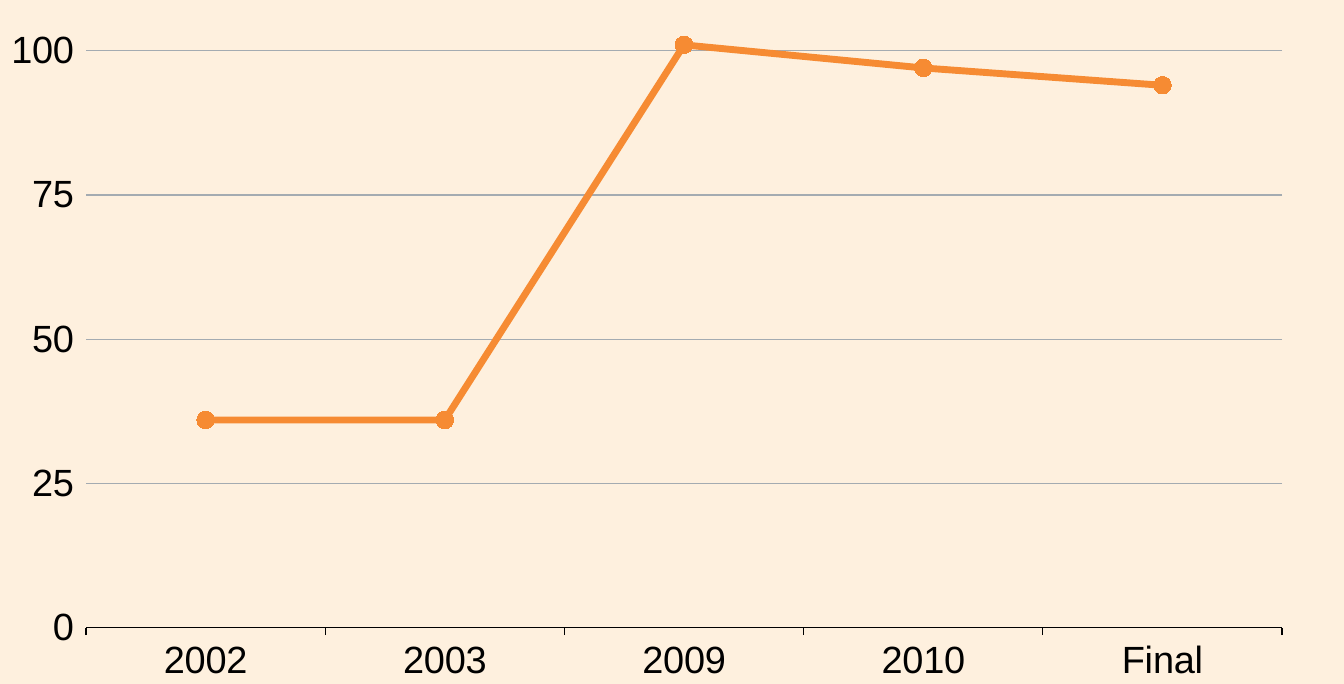
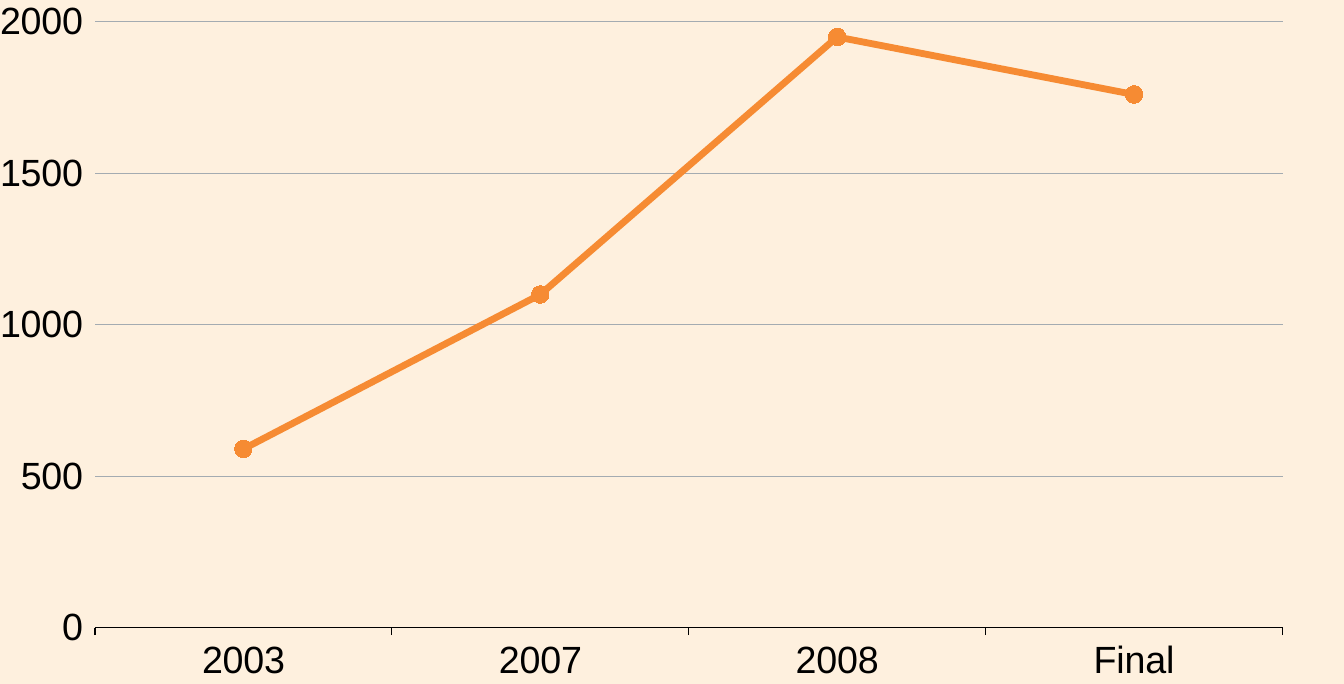
from pptx import Presentation
from pptx.chart.data import CategoryChartData
from pptx.dml.color import RGBColor
from pptx.enum.chart import XL_CHART_TYPE, XL_MARKER_STYLE, XL_TICK_MARK
from pptx.oxml import parse_xml
from pptx.oxml.ns import nsdecls
from pptx.util import Cm, Pt

LINE_MARKERS = XL_CHART_TYPE.LINE_MARKERS
CIRCLE = XL_MARKER_STYLE.CIRCLE
TICK_OUT = XL_TICK_MARK.OUTSIDE
TICK_NONE = XL_TICK_MARK.NONE

SLIDE_WIDTH, SLIDE_HEIGHT = Cm(27.51), Cm(14)
BLANK_LAYOUT = 6
FONT = "Arial"
CREAM, ORANGE, GREY, BLACK = "FEF0DE", "F68B33", "A4ABB1", "000000"
PLOT_AREA = {"x": 0.064, "y": 0.032, "w": 0.89, "h": 0.886}

TRENDS = [
    {
        "values": {"2002": 36, "2003": 36, "2009": 101, "2010": 97, "Final": 94},
        "scale": {"minimum_scale": 0, "maximum_scale": 105, "major_unit": 25},
        "number_format": "#,##0",
    },
    {
        "values": {"2003": 590, "2007": 1100, "2008": 1950, "Final": 1760},
        "scale": {"maximum_scale": 2000, "major_unit": 500},
        "number_format": "General",
    },
]


def rgb(hex_colour):
    """Return the colour for a hex string."""
    return RGBColor.from_string(hex_colour)


def set_attributes(target, values):
    """Set each named attribute of the target."""
    for name, value in values.items():
        setattr(target, name, value)


def fill_solid(fill, hex_colour):
    """Give a fill one plain colour."""
    fill.solid()
    fill.fore_color.rgb = rgb(hex_colour)


def style_line(line, hex_colour, points):
    """Set the colour and width of a line."""
    fill_solid(line.fill, hex_colour)
    line.width = Pt(points)


def style_font(font, points):
    """Set the shared chart font at the given size."""
    set_attributes(font, {"name": FONT, "size": Pt(points), "bold": False})
    font.color.rgb = rgb(BLACK)


def style_axis(axis):
    """Set the label font and tick marks that both axes share."""
    style_font(axis.tick_labels.font, 22)
    set_attributes(axis, {"major_tick_mark": TICK_OUT, "minor_tick_mark": TICK_NONE})


def style_axes(chart, scale, number_format):
    """Format the year axis, the value axis and its gridlines."""
    years, amounts = chart.category_axis, chart.value_axis
    for axis in (years, amounts):
        style_axis(axis)
    style_line(years.format.line, BLACK, 0.75)
    amounts.format.line.fill.background()
    amounts.has_major_gridlines = True
    style_line(amounts.major_gridlines.format.line, GREY, 0.75)
    set_attributes(amounts, scale)
    set_attributes(
        amounts.tick_labels,
        {"number_format": number_format, "number_format_is_linked": False},
    )


def style_trend(trend):
    """Draw the series as a straight orange line with round markers."""
    trend.smooth = False
    style_line(trend.format.line, ORANGE, 4)
    set_attributes(trend.marker, {"style": CIRCLE, "size": 10})
    fill_solid(trend.marker.format.fill, CREAM)
    style_line(trend.marker.format.line, ORANGE, 4)


def place_plot(chart):
    """Fix the inner plot area as fractions of the chart."""
    modes = "".join(f'<c:{side}Mode val="edge"/>' for side in "xy")
    sizes = "".join(f'<c:{key} val="{part}"/>' for key, part in PLOT_AREA.items())
    layout = parse_xml(
        f'<c:layout {nsdecls("c")}><c:manualLayout><c:layoutTarget val="inner"/>'
        f"{modes}{sizes}</c:manualLayout></c:layout>"
    )
    plot_area = chart.element.chart.plotArea
    for automatic in plot_area.findall(layout.tag):
        plot_area.remove(automatic)
    plot_area.insert(0, layout)


def add_trend_chart(slide, values, scale, number_format):
    """Add a line chart that covers the slide."""
    data = CategoryChartData(number_format=number_format)
    data.categories = list(values)
    data.add_series("Series 1", list(values.values()))
    chart = slide.shapes.add_chart(
        LINE_MARKERS, 0, 0, SLIDE_WIDTH, SLIDE_HEIGHT, data
    ).chart
    set_attributes(chart, {"has_legend": False, "has_title": False})
    style_font(chart.font, 18)
    chart.plots[0].vary_by_categories = False
    style_axes(chart, scale, number_format)
    style_trend(chart.plots[0].series[0])
    place_plot(chart)


def main():
    """Build one slide for each trend."""
    deck = Presentation()
    set_attributes(deck, {"slide_width": SLIDE_WIDTH, "slide_height": SLIDE_HEIGHT})
    fill_solid(deck.slide_master.background.fill, CREAM)
    for trend in TRENDS:
        slide = deck.slides.add_slide(deck.slide_layouts[BLANK_LAYOUT])
        add_trend_chart(slide, **trend)
    deck.save("out.pptx")


main()
